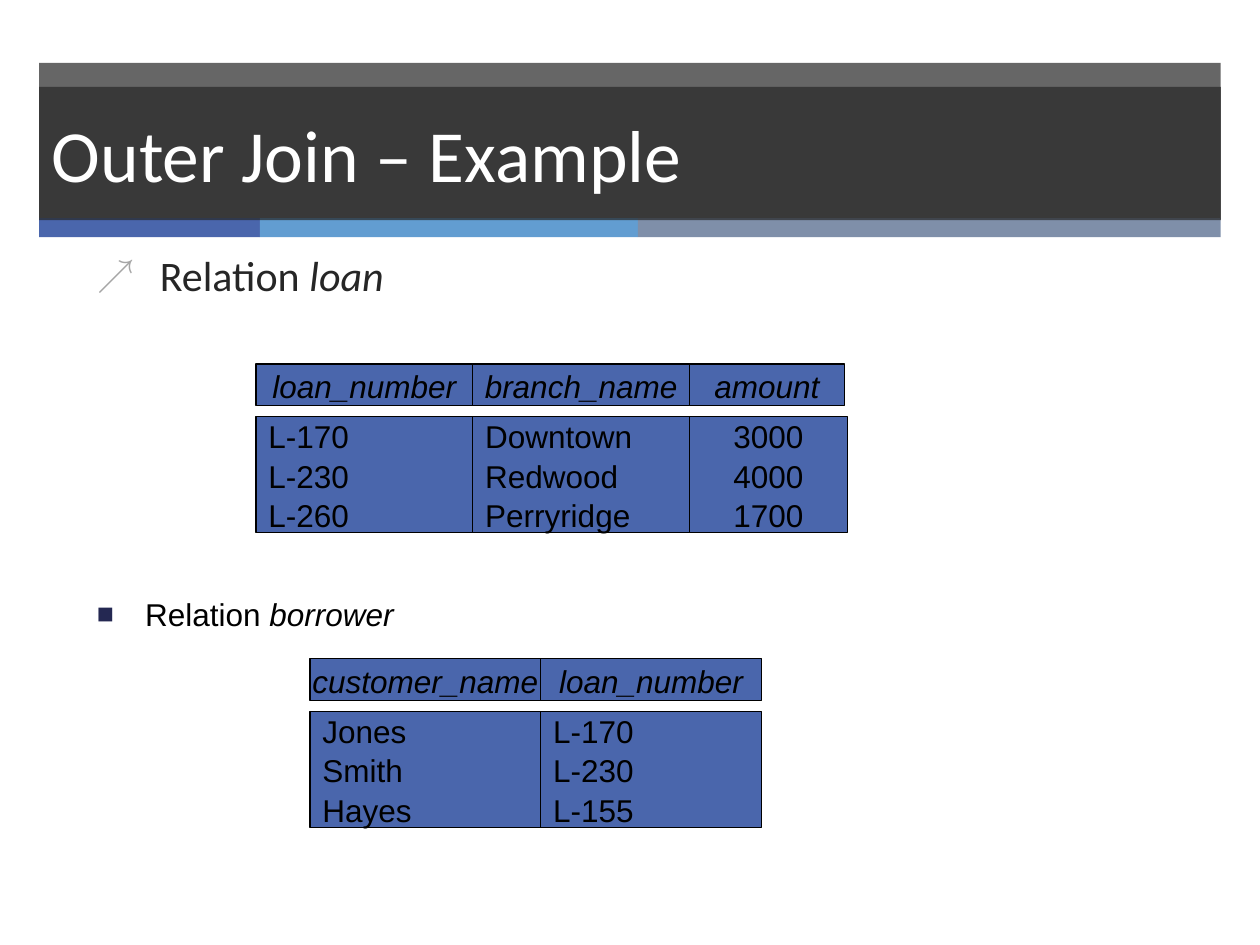
from lxml.etree import SubElement
from pptx import Presentation
from pptx.dml.color import RGBColor
from pptx.enum.shapes import MSO_SHAPE as Preset
from pptx.enum.text import MSO_ANCHOR as Anchor, MSO_AUTO_SIZE as AutoSize, PP_ALIGN as Align
from pptx.oxml.ns import qn
from pptx.util import Cm, Pt

BLUE, BLACK, WHITE, DARK = "4A66AC", "000000", "FFFFFF", "262626"
TITLE = "Outer Join – Example"
BAR_LEFT, BAR_WIDTH = 0.79, 23.82
STRIPS = [(4.45, BLUE), (7.62, "629DD1"), (11.75, "7F8FA9")]
STRIP_TOP, STRIP_HEIGHT = 4.4, 0.38

BULLETS = [
    dict(words=("Relation ", "loan"), place=(1.7, 4.9, 19.05, 1.35), font=("Calibri", 24, DARK),
         indent=1.27, before=20, mark="↗", mark_color="A6A6A6"),
    dict(words=("Relation ", "borrower"), place=(1.7, 11.86, 19.53, 1.35), font=("Arial", 18, BLACK),
         indent=0.97, before=7.9, mark="■", mark_color="242852"),
]

RELATIONS = [
    dict(left=5.16, top=7.34, columns=[
        ("loan_number", ["L-170", "L-230", "L-260"], 4.37, 4.37, Align.LEFT),
        ("branch_name", ["Downtown", "Redwood", "Perryridge"], 4.37, 4.37, Align.LEFT),
        ("amount", ["3000", "4000", "1700"], 3.12, 3.18, Align.CENTER),
    ]),
    dict(left=6.25, top=13.28, columns=[
        ("customer_name", ["Jones", "Smith", "Hayes"], 4.65, 4.65, Align.LEFT),
        ("loan_number", ["L-170", "L-230", "L-155"], 4.45, 4.45, Align.LEFT),
    ]),
]
HEADER_HEIGHT, BODY_HEIGHT, BODY_OFFSET = 0.84, 2.34, 1.06


def paint(target, color, opacity=100):
    target.solid()
    target.fore_color.rgb = RGBColor.from_string(color)
    if opacity < 100:
        color_element = target._xPr.find(".//" + qn("a:srgbClr"))
        SubElement(color_element, qn("a:alpha"), val=str(opacity * 1000))


def set_font(font, name, size, color):
    font.name, font.size = name, Pt(size)
    paint(font.fill, color)


def move(shape, left, top, width, height):
    shape.left, shape.top, shape.width, shape.height = map(Cm, (left, top, width, height))


def add_box(slide, place, color, opacity=100):
    shape = slide.shapes.add_shape(Preset.RECTANGLE, *map(Cm, place))
    shape.shadow.inherit = False
    paint(shape.fill, color, opacity)
    shape.line.fill.background()
    return shape


def add_title(slide):
    title = slide.shapes.title
    move(title, BAR_LEFT, 1.75, BAR_WIDTH, 2.69)
    paint(title.fill, DARK, 70)
    frame = title.text_frame
    frame.text = TITLE
    frame.auto_size, frame.vertical_anchor = AutoSize.NONE, Anchor.MIDDLE
    paragraph = frame.paragraphs[0]
    paragraph.alignment = Align.LEFT
    set_font(paragraph.font, "Calibri", 42, WHITE)

    bands = [add_box(slide, (BAR_LEFT, 1.27, BAR_WIDTH, 3.15), DARK, 70)]
    left = BAR_LEFT
    for width, color in STRIPS:
        bands.append(add_box(slide, (left, STRIP_TOP, width, STRIP_HEIGHT), color))
        left += width
    for band in bands:
        title.element.addprevious(band.element)


def fill_bullet(placeholder, bullet):
    move(placeholder, *bullet["place"])
    frame = placeholder.text_frame
    frame.auto_size, frame.vertical_anchor = AutoSize.NONE, Anchor.TOP
    paragraph = frame.paragraphs[0]
    for word, italic in zip(bullet["words"], (False, True)):
        run = paragraph.add_run()
        run.text, run.font.italic = word, italic
        set_font(run.font, *bullet["font"])
    properties = paragraph._p.get_or_add_pPr()
    properties.set("marL", str(Cm(bullet["indent"])))
    properties.set("indent", str(-Cm(bullet["indent"])))
    mark_color = SubElement(properties, qn("a:buClr"))
    SubElement(mark_color, qn("a:srgbClr"), val=bullet["mark_color"])
    SubElement(properties, qn("a:buSzPct"), val="90000")
    SubElement(properties, qn("a:buChar"), char=bullet["mark"])
    paragraph.space_before = Pt(bullet["before"])


def add_cell(slide, place, lines, alignment, header=False):
    cell = add_box(slide, place, BLUE)
    paint(cell.line.fill, BLACK)
    cell.line.width = Pt(0.75)
    frame = cell.text_frame
    frame.text = "\n".join(lines)
    frame.word_wrap, frame.vertical_anchor = not header, Anchor.MIDDLE
    for paragraph in frame.paragraphs:
        paragraph.alignment = alignment
        paragraph.line_spacing = 1.05
        paragraph.font.italic = header
        set_font(paragraph.font, "Arial", 18, BLACK)


def add_relation(slide, left, top, columns):
    for name, values, header_width, body_width, alignment in columns:
        add_cell(slide, (left, top, header_width, HEADER_HEIGHT), [name], Align.CENTER, header=True)
        add_cell(slide, (left, top + BODY_OFFSET, body_width, BODY_HEIGHT), values, alignment)
        left += header_width


def main():
    presentation = Presentation()
    presentation.slide_width, presentation.slide_height = Cm(25.4), Cm(19.05)
    slide = presentation.slides.add_slide(presentation.slide_layouts.get_by_name("Two Content"))
    add_title(slide)
    bodies = list(slide.placeholders)[1:]
    for placeholder, bullet in zip(bodies, BULLETS):
        fill_bullet(placeholder, bullet)
    for relation in RELATIONS:
        add_relation(slide, **relation)
    presentation.save("out.pptx")


if __name__ == "__main__":
    main()
